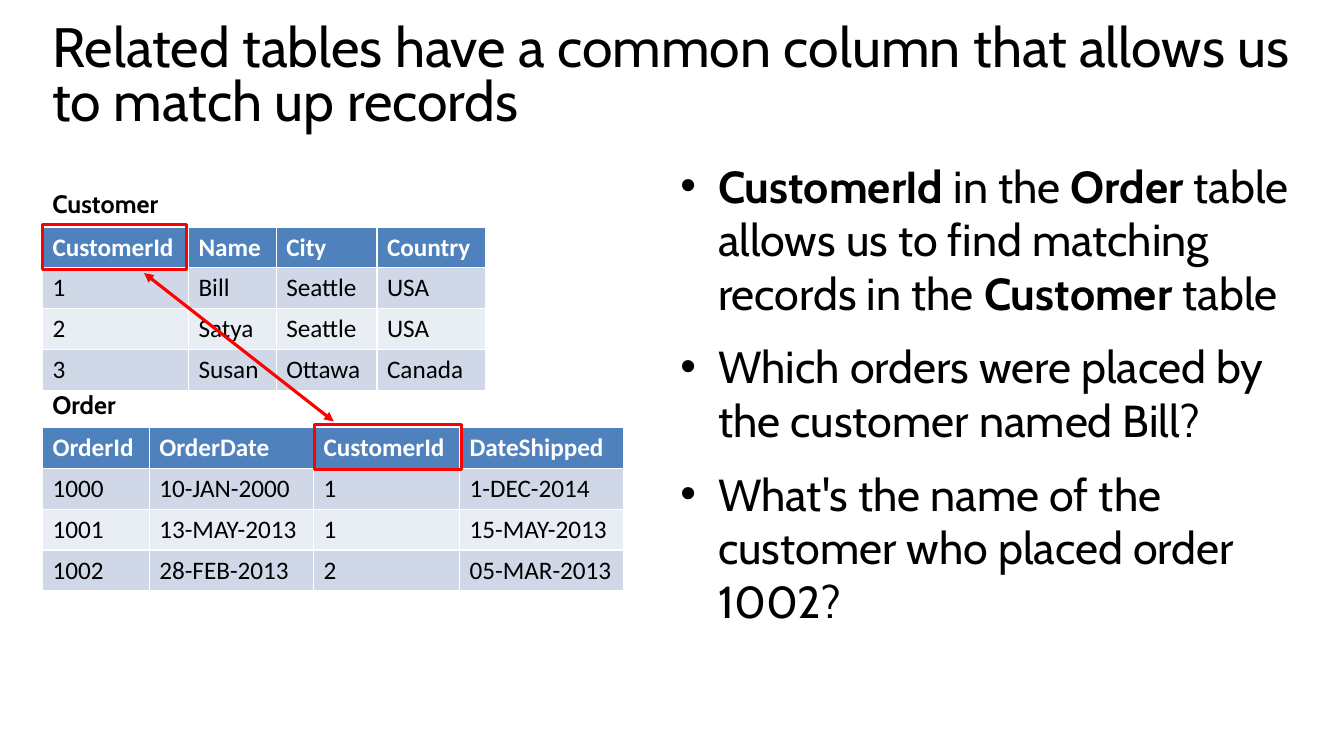
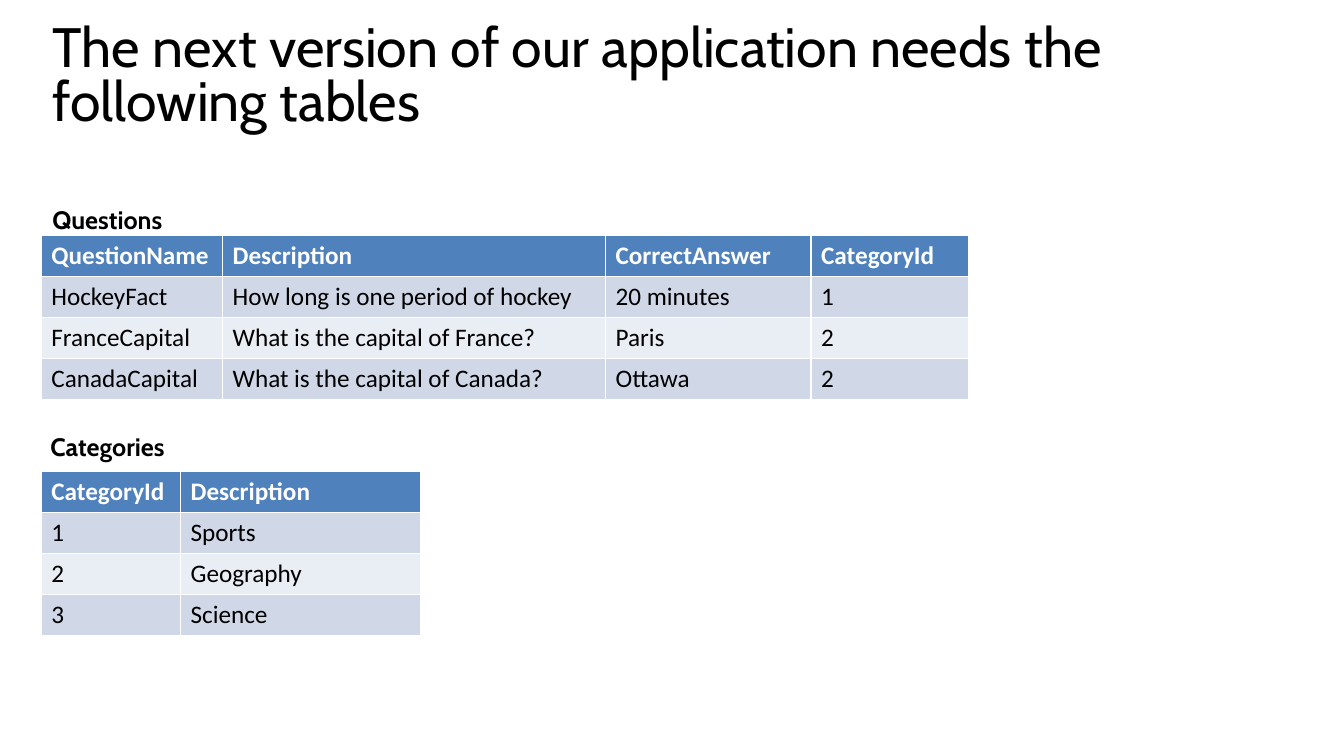
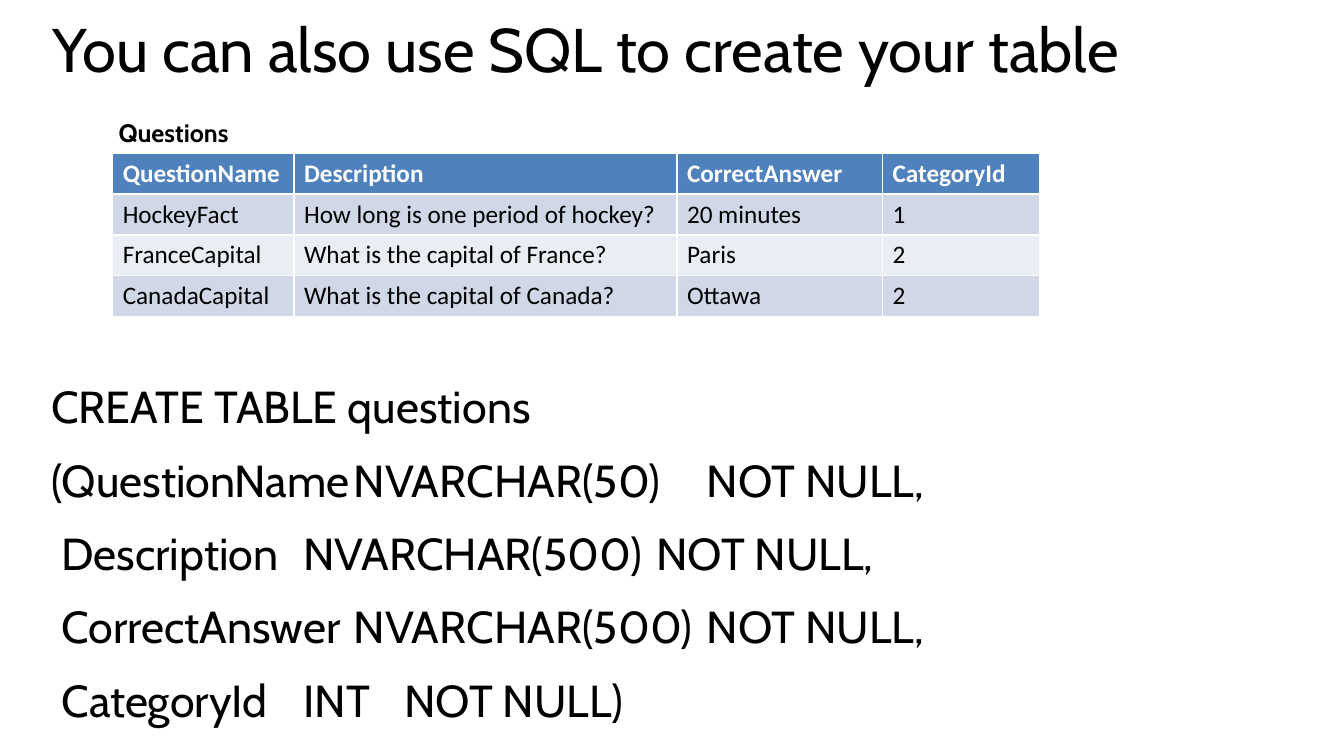
from lxml import etree
from pptx import Presentation
from pptx.dml.color import RGBColor
from pptx.enum.shapes import MSO_CONNECTOR, MSO_SHAPE
from pptx.enum.text import MSO_ANCHOR, MSO_AUTO_SIZE, PP_ALIGN
from pptx.oxml.ns import qn
from pptx.util import Cm, Pt

TOP = MSO_ANCHOR.TOP
NO_FIT = MSO_AUTO_SIZE.NONE
GROW = MSO_AUTO_SIZE.SHAPE_TO_FIT_TEXT
LEFT = PP_ALIGN.LEFT
RECTANGLE = MSO_SHAPE.RECTANGLE
STRAIGHT = MSO_CONNECTOR.STRAIGHT

BLACK, WHITE, RED = "000000", "FFFFFF", "FF0000"
HEADER, BAND_DARK, BAND_LIGHT = "4F81BD", "D0D8E8", "E9EDF4"
TITLE_FONT, TABLE_FONT = "Cabin", "Calibri"
TITLE_AND_BODY, TITLE_ONLY = 1, 5
ROW_HEIGHT = 1.03
LINE_WIDTH = Pt(2.25)


def colour(value):
    return RGBColor.from_string(value)


def add_span(para, text, size, bold=False, font=TITLE_FONT, ink=BLACK):
    span = para.add_run()
    span.text = text
    span.font.name = font
    span.font.size = Pt(size)
    span.font.bold = bold
    span.font.color.rgb = colour(ink)


deck = Presentation()
deck.slide_width = Cm(33.87)
deck.slide_height = Cm(19.05)

titles = [
    (TITLE_AND_BODY, 39.6, "Related tables have a common column that allows us to match up records"),
    (TITLE_ONLY, 39.6, "The next version of our application needs the following tables"),
    (TITLE_AND_BODY, 44, "You can also use SQL to create your table"),
]
for layout, size, text in titles:
    page = deck.slides.add_slide(deck.slide_layouts[layout])
    title = page.shapes.title
    title.left, title.top, title.width, title.height = Cm(1.07), Cm(0.51), Cm(32), Cm(2.95)
    title.text_frame.vertical_anchor = TOP
    title.text_frame.auto_size = NO_FIT
    para = title.text_frame.paragraphs[0]
    para.alignment = LEFT
    para.line_spacing = 0.8
    add_span(para, text, size)
relation_page, design_page, sql_page = deck.slides

customers = [
    ["CustomerId", "Name", "City", "Country"],
    ["1", "Bill", "Seattle", "USA"],
    ["2", "Satya", "Seattle", "USA"],
    ["3", "Susan", "Ottawa", "Canada"],
]
orders = [
    ["OrderId", "OrderDate", "CustomerId", "DateShipped"],
    ["1000", "10-JAN-2000", "1", "1-DEC-2014"],
    ["1001", "13-MAY-2013", "1", "15-MAY-2013"],
    ["1002", "28-FEB-2013", "2", "05-MAR-2013"],
]
questions = [
    ["QuestionName", "Description", "CorrectAnswer", "CategoryId"],
    ["HockeyFact", "How long is one period of hockey", "20 minutes", "1"],
    ["FranceCapital", "What is the capital of France?", "Paris", "2"],
    ["CanadaCapital", "What is the capital of Canada?", "Ottawa", "2"],
]
sql_questions = [
    questions[0],
    ["HockeyFact", "How long is one period of hockey?", "20 minutes", "1"],
    *questions[2:],
]
categories = [
    ["CategoryId", "Description"],
    ["1", "Sports"],
    ["2", "Geography"],
    ["3", "Science"],
]
question_widths = [4.57, 9.65, 5.18, 3.96]

tables = [
    (relation_page, "Customer", (1.07, 4.62, 3.4), (1.07, 5.72), [3.68, 2.21, 2.54, 2.74], customers),
    (relation_page, "Order", (1.07, 9.68, 2.24), (1.07, 10.77), [2.69, 4.14, 3.68, 4.14], orders),
    (design_page, "Questions", (1.07, 5.03, 3.51), (1.04, 5.94), question_widths, questions),
    (design_page, "Categories", (1.02, 10.74, 3.71), (1.04, 11.89), [3.51, 6.05], categories),
    (sql_page, "Questions", (2.74, 2.82, 3.51), (2.84, 3.86), question_widths, sql_questions),
]
for page, name, (label_left, label_top, label_width), (left, top), widths, records in tables:
    frame = page.shapes.add_table(
        len(records), len(widths), Cm(left), Cm(top), Cm(sum(widths)), Cm(ROW_HEIGHT * len(records))
    )
    table = frame.table
    for column, width in zip(table.columns, widths):
        column.width = Cm(width)
    for row, record in enumerate(records):
        is_header = row == 0
        fill = HEADER if is_header else BAND_DARK if row % 2 else BAND_LIGHT
        for column, text in enumerate(record):
            cell = table.cell(row, column)
            cell.fill.solid()
            cell.fill.fore_color.rgb = colour(fill)
            ink = WHITE if is_header else BLACK
            add_span(cell.text_frame.paragraphs[0], text, 18, is_header, TABLE_FONT, ink)

    label = page.shapes.add_textbox(Cm(label_left), Cm(label_top), Cm(label_width), Cm(1.02))
    label.text_frame.word_wrap = False
    label.text_frame.auto_size = GROW
    add_span(label.text_frame.paragraphs[0], name, 18, True)

for left, top, width in [(1.07, 5.66, 3.63), (7.92, 10.69, 3.71)]:
    key_box = relation_page.shapes.add_shape(RECTANGLE, Cm(left), Cm(top), Cm(width), Cm(1.14))
    key_box.shadow.inherit = False
    key_box.fill.background()
    key_box.line.color.rgb = colour(RED)
    key_box.line.width = LINE_WIDTH

arrow = relation_page.shapes.add_connector(STRAIGHT, Cm(3.63), Cm(6.88), Cm(8.41), Cm(10.62))
arrow.line.color.rgb = colour(RED)
arrow.line.width = LINE_WIDTH
for end in ("a:headEnd", "a:tailEnd"):
    etree.SubElement(arrow.line._get_or_add_ln(), qn(end), type="triangle")
etree.SubElement(arrow._element.spPr, qn("a:effectLst"))

bullets = [
    [
        ("CustomerId", True),
        (" in the ", False),
        ("Order", True),
        (" table allows us to find matching records in the ", False),
        ("Customer", True),
        (" table", False),
    ],
    [("Which orders were placed by the customer named Bill?", False)],
    [("What's the name of the customer who placed order 1002?", False)],
]
statement = [
    [("CREATE TABLE questions", False)],
    [("(QuestionName\tNVARCHAR(50)\tNOT NULL,", False)],
    [(" Description\tNVARCHAR(500)\tNOT NULL,", False)],
    [(" CorrectAnswer\tNVARCHAR(500)\tNOT NULL,", False)],
    [(" CategoryId\tINT\tNOT NULL)", False)],
]
bodies = [
    (relation_page, (16.89, 3.86, 16.18, 12.2), bullets),
    (sql_page, (1.04, 9.42, 32, 9.15), statement),
]
for page, (left, top, width, height), lines in bodies:
    body = page.placeholders[1]
    body.left, body.top, body.width, body.height = Cm(left), Cm(top), Cm(width), Cm(height)
    body.text_frame.auto_size = NO_FIT
    for index, line in enumerate(lines):
        para = body.text_frame.paragraphs[0] if index == 0 else body.text_frame.add_paragraph()
        para.space_before = Pt(14)
        for text, bold in line:
            add_span(para, text, 32, bold)

for index, para in enumerate(sql_page.placeholders[1].text_frame.paragraphs):
    properties = para._p.get_or_add_pPr()
    properties.set("marL", "0")
    properties.set("indent", "0")
    etree.SubElement(properties, qn("a:buNone"))
    stops = etree.SubElement(properties, qn("a:tabLst"))
    for position in (10.16, 22.86 if index == 1 else 20.32):
        etree.SubElement(stops, qn("a:tab"), pos=str(int(Cm(position))), algn="l")

deck.save("out.pptx")
